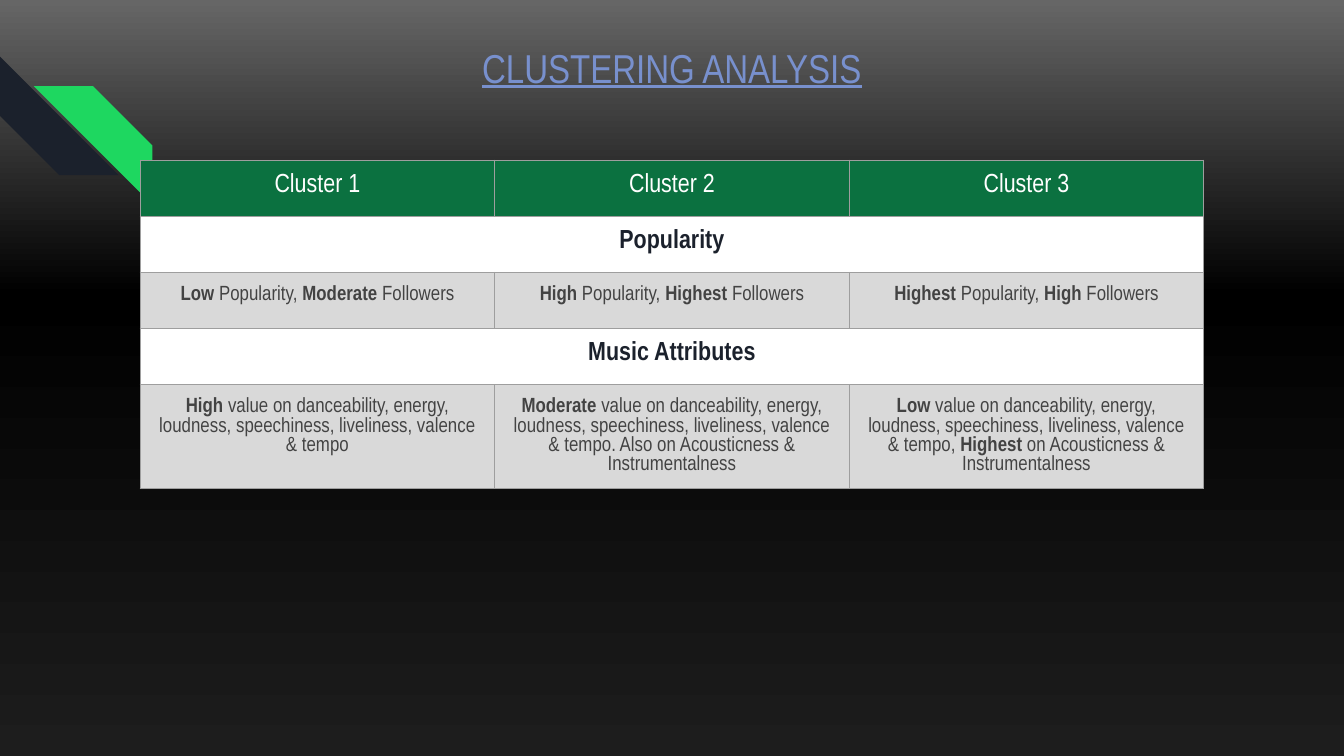
"""Build the clustering analysis slide."""
from dataclasses import dataclass

from lxml import etree
from pptx import Presentation
from pptx import util as u
from pptx.dml import color
from pptx.enum import shapes, text
from pptx.oxml import ns


@dataclass(frozen=True)
class Theme:
    """Colours, font and type sizes."""
    font: str = "Arial Narrow"
    title: str = "7890CD"
    navy: str = "1B212C"
    lime: str = "1ED760"
    green: str = "0B7140"
    white: str = "FFFFFF"
    gray: str = "D9D9D9"
    ink: str = "434343"
    edge: str = "9E9E9E"
    fade: tuple = ((0, "666666"), (39, "000000"), (100, "1D1D1D"))
    big: float = 21.6
    head: float = 14
    body: float = 11


THEME = Theme()
PAD = u.Cm(0.25)
MUSIC = "value on danceability, energy, loudness, speechiness, liveliness, valence & tempo"
EXTRA = "on Acousticness & Instrumentalness"
HEADS = ("Cluster 1", "Cluster 2", "Cluster 3")
FAME = (
    "*Low* Popularity, *Moderate* Followers",
    "*High* Popularity, *Highest *Followers",
    "*Highest* Popularity, *High *Followers",
)
SOUND = (
    f"*High *{MUSIC}",
    f"*Moderate* {MUSIC}. Also {EXTRA}",
    f"*Low* {MUSIC}, *Highest *{EXTRA}",
)


def rgb(code):
    """Turn a hex code into a colour."""
    return color.RGBColor.from_string(code)


def add_node(root, tag, **attrs):
    """Append a drawing element and return it."""
    return etree.SubElement(root, ns.qn(tag), **attrs)


def paint(item, code):
    """Fill a shape or cell with one colour."""
    item.fill.solid()
    item.fill.fore_color.rgb = rgb(code)


def set_back(slide):
    """Give the slide its vertical gradient."""
    fill = slide.background.fill
    fill.gradient()
    fill.gradient_angle = 270
    grad = slide.element.find(".//" + ns.qn("a:gradFill"))
    stops = grad.find(ns.qn("a:gsLst"))
    for stop in list(stops):
        stops.remove(stop)
    for place, code in THEME.fade:
        stop = add_node(stops, "a:gs", pos=str(place * 1000))
        add_node(stop, "a:srgbClr", val=code)


def add_stripe(slide, left, top, turn, code):
    """Draw one diagonal stripe."""
    size = u.Cm(2.24)
    stripe = slide.shapes.add_shape(
        shapes.MSO_SHAPE.DIAGONAL_STRIPE, left, top, size, size)
    stripe.rotation = turn
    stripe.shadow.inherit = False
    stripe.line.fill.background()
    paint(stripe, code)


def add_run(para, words, size, code, bold=False):
    """Add one styled run."""
    run = para.add_run()
    run.text = words
    font = run.font
    font.name, font.size, font.bold = THEME.font, u.Pt(size), bold
    font.color.rgb = rgb(code)
    return run


def set_title(slide, words):
    """Place and style the title."""
    title = slide.shapes.title
    title.left, title.top = u.Cm(2.92), u.Cm(0.56)
    title.width, title.height = u.Cm(19.56), u.Cm(1.42)
    frame = title.text_frame
    frame.margin_left = frame.margin_right = PAD
    frame.margin_top = frame.margin_bottom = PAD
    frame.vertical_anchor = text.MSO_ANCHOR.BOTTOM
    para = frame.paragraphs[0]
    para.alignment = text.PP_ALIGN.CENTER
    para.line_spacing = 1.0
    add_run(para, words, THEME.big, THEME.title).font.underline = True


def set_edge(cell):
    """Draw the four borders of a cell."""
    props = cell._tc.get_or_add_tcPr()
    for spot, side in enumerate(("L", "R", "T", "B")):
        line = etree.Element(ns.qn(f"a:ln{side}"), w=str(u.Pt(0.75)))
        fill = add_node(line, "a:solidFill")
        add_node(fill, "a:srgbClr", val=THEME.edge)
        props.insert(spot, line)


def set_cell(cell, words, size, code, back, bold=False):
    """Fill a cell; starred parts switch the weight."""
    cell.margin_left = cell.margin_right = PAD
    cell.margin_top = cell.margin_bottom = PAD
    paint(cell, back)
    set_edge(cell)
    para = cell.text_frame.paragraphs[0]
    para.alignment = text.PP_ALIGN.CENTER
    for spot, part in enumerate(words.split("*")):
        if part:
            add_run(para, part, size, code, bold or spot % 2 == 1)


def add_grid(slide):
    """Build the cluster table."""
    head = (THEME.head, THEME.white, THEME.green)
    band = (THEME.head, THEME.navy, THEME.white, True)
    body = (THEME.body, THEME.ink, THEME.gray)
    rows = (
        (HEADS, head),
        (("Popularity", "", ""), band),
        (FAME, body),
        (("Music Attributes", "", ""), band),
        (SOUND, body),
    )
    wide, high = u.Cm(6.7), u.Cm(1.06)
    grid = slide.shapes.add_table(
        len(rows), 3, u.Cm(2.65), u.Cm(3.03), wide * 3, high * len(rows)).table
    grid.first_row = grid.horz_banding = False
    for row, (cells, style) in enumerate(rows):
        grid.rows[row].height = high
        for col, words in enumerate(cells):
            set_cell(grid.cell(row, col), words, *style)
        if style is band:
            grid.cell(row, 0).merge(grid.cell(row, 2))


def main():
    """Build and save the slide."""
    deck = Presentation()
    deck.slide_width, deck.slide_height = u.Cm(25.4), u.Cm(14.29)
    slide = deck.slides.add_slide(deck.slide_layouts[5])
    set_back(slide)
    add_stripe(slide, u.Cm(0), u.Cm(1.07), 270, THEME.navy)
    add_stripe(slide, u.Cm(0.64), u.Cm(1.63), 90, THEME.lime)
    add_grid(slide)
    set_title(slide, "CLUSTERING ANALYSIS")
    deck.save("out.pptx")


if __name__ == "__main__":
    main()
